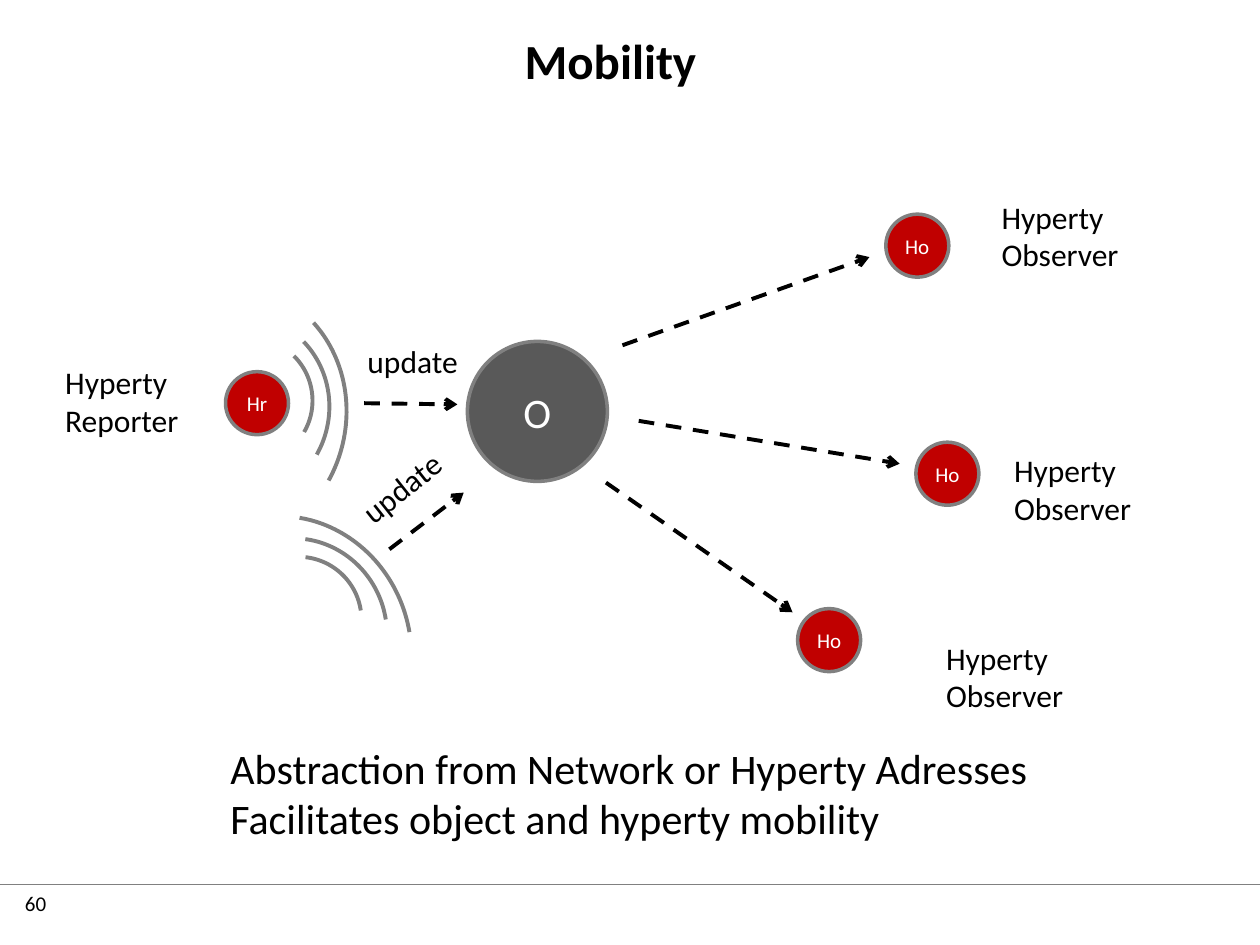
"""Build the Mobility slide: a reporter updating an object watched by three observers."""
from dataclasses import dataclass

from lxml.etree import SubElement
from pptx import Presentation
from pptx.dml.color import RGBColor
from pptx.enum.dml import MSO_LINE_DASH_STYLE as Dash
from pptx.enum.shapes import MSO_CONNECTOR, MSO_SHAPE as Preset
from pptx.enum.text import MSO_ANCHOR as Anchor, MSO_AUTO_SIZE as AutoSize, PP_ALIGN as Align
from pptx.oxml.ns import qn
from pptx.util import Pt

COLORS = {"black": "000000", "white": "FFFFFF", "gray": "808080", "dark": "595959", "red": "C00000"}
FONT = "Calibri"
ARC_SIZES = ((72, 72), (105.1, 108.7), (144, 154.8))
ARC_ANGLES = (175.919, 4.959)


@dataclass(frozen=True)
class Node:
    text: str
    left: float
    top: float
    diameter: float = 36
    fill: str = "red"
    size: float = 12


@dataclass(frozen=True)
class Label:
    text: str
    left: float
    top: float
    width: float = 85.7
    height: float = 51
    size: float = 18
    align: Align = Align.LEFT
    rotation: float = 0


@dataclass(frozen=True)
class Line:
    start: tuple[float, float]
    end: tuple[float, float]


@dataclass(frozen=True)
class Signal:
    centers: tuple[tuple[float, float], ...]
    rotation: float


NODES = (
    Node("Hr", 128.9, 212.4),
    Node("Ho", 523.4, 252.7),
    Node("O", 267.1, 195.1, diameter=80, fill="dark", size=24),
    Node("Ho", 455.8, 347.8),
    Node("Ho", 506.2, 122.4),
)
LABELS = (
    Label("Hyperty Reporter", 30.2, 203.8),
    Label("Hyperty Observer", 565.2, 109.4),
    Label("Hyperty Observer", 572.4, 254.2),
    Label("Hyperty Observer", 533.5, 361.4),
    Label("update", 190.8, 192.2, 90, 28.8, align=Align.CENTER),
    Label("update", 184.3, 264.2, 90, 28.8, align=Align.CENTER, rotation=321.6),
    Label("Abstraction from Network or Hyperty Adresses Facilitates object and hyperty mobility",
          124.6, 420.5, 472.3, 65.5, size=24),
    Label("60", 7.2, 505.4, 57.6, 28.8, size=12),
)
ARROWS = (
    Line((208.1, 230.4), (261.4, 231.1)),
    Line((365, 240.5), (514.1, 265)),
    Line((346.3, 275.8), (452.9, 349.9)),
    Line((355.7, 197.3), (496.8, 146.9)),
    Line((222.5, 313.9), (265, 281.5)),
)
SIGNALS = (
    Signal(((142.6, 229), (135.4, 233.6), (125.3, 238.7)), 21.6),
    Signal(((170.6, 354.2), (168.5, 361.8), (162.7, 371.9)), 343.2),
)


def rgb(name: str) -> RGBColor:
    return RGBColor.from_string(COLORS[name])


def write_text(shape, text: str, *, size: float, color: str = "black", bold: bool = False,
               align: Align = Align.LEFT, anchor: Anchor = Anchor.TOP, wrap: bool = True) -> None:
    frame = shape.text_frame
    frame.auto_size = AutoSize.NONE
    frame.word_wrap = wrap
    frame.vertical_anchor = anchor
    para = frame.paragraphs[0]
    para.alignment = align
    span = para.add_run()
    span.text = text
    span.font.name = FONT
    span.font.size = Pt(size)
    span.font.bold = bold
    span.font.color.rgb = rgb(color)


def set_line(shape, color: str, width: float) -> None:
    shape.line.color.rgb = rgb(color)
    shape.line.width = Pt(width)


def draw_node(page, node: Node) -> None:
    diameter = Pt(node.diameter)
    circle = page.shapes.add_shape(Preset.OVAL, Pt(node.left), Pt(node.top), diameter, diameter)
    circle.shadow.inherit = False
    circle.fill.solid()
    circle.fill.fore_color.rgb = rgb(node.fill)
    set_line(circle, "gray", 2)
    frame = circle.text_frame
    frame.margin_left = frame.margin_right = frame.margin_top = frame.margin_bottom = 0
    write_text(circle, node.text, size=node.size, color="white", align=Align.CENTER,
               anchor=Anchor.MIDDLE, wrap=False)


def draw_label(page, label: Label) -> None:
    box = page.shapes.add_textbox(Pt(label.left), Pt(label.top), Pt(label.width), Pt(label.height))
    box.rotation = label.rotation
    write_text(box, label.text, size=label.size, align=label.align)


def draw_line(page, line: Line, color: str, width: float):
    points = [Pt(value) for value in (*line.start, *line.end)]
    connector = page.shapes.add_connector(MSO_CONNECTOR.STRAIGHT, *points)
    set_line(connector, color, width)
    SubElement(connector._element.spPr, qn("a:effectLst"))
    return connector


def draw_arrow(page, line: Line) -> None:
    arrow = draw_line(page, line, "black", 2.25)
    arrow.line.dash_style = Dash.DASH
    SubElement(arrow.line._get_or_add_ln(), qn("a:tailEnd"), type="arrow")


def draw_signal(page, signal: Signal) -> None:
    for (x, y), (width, height) in zip(signal.centers, ARC_SIZES):
        arc = page.shapes.add_shape(Preset.ARC, Pt(x - width / 2), Pt(y - height / 2),
                                    Pt(width), Pt(height))
        arc.shadow.inherit = False
        arc.adjustments[0], arc.adjustments[1] = ARC_ANGLES
        arc.rotation = signal.rotation
        arc.fill.background()
        set_line(arc, "gray", 2.25)


def main() -> None:
    deck = Presentation()
    deck.slide_width, deck.slide_height = Pt(720), Pt(540)
    page = deck.slides.add_slide(deck.slide_layouts[5])
    title = page.shapes.title
    title.left, title.top, title.width, title.height = Pt(65.5), Pt(13.7), Pt(566.6), Pt(37.4)
    write_text(title, "Mobility", size=28, bold=True, align=Align.CENTER)
    draw_line(page, Line((0, 505.4), (720, 505.4)), "gray", 0.75)
    for items, draw in ((NODES, draw_node), (SIGNALS, draw_signal),
                        (ARROWS, draw_arrow), (LABELS, draw_label)):
        for item in items:
            draw(page, item)
    deck.save("out.pptx")


if __name__ == "__main__":
    main()
